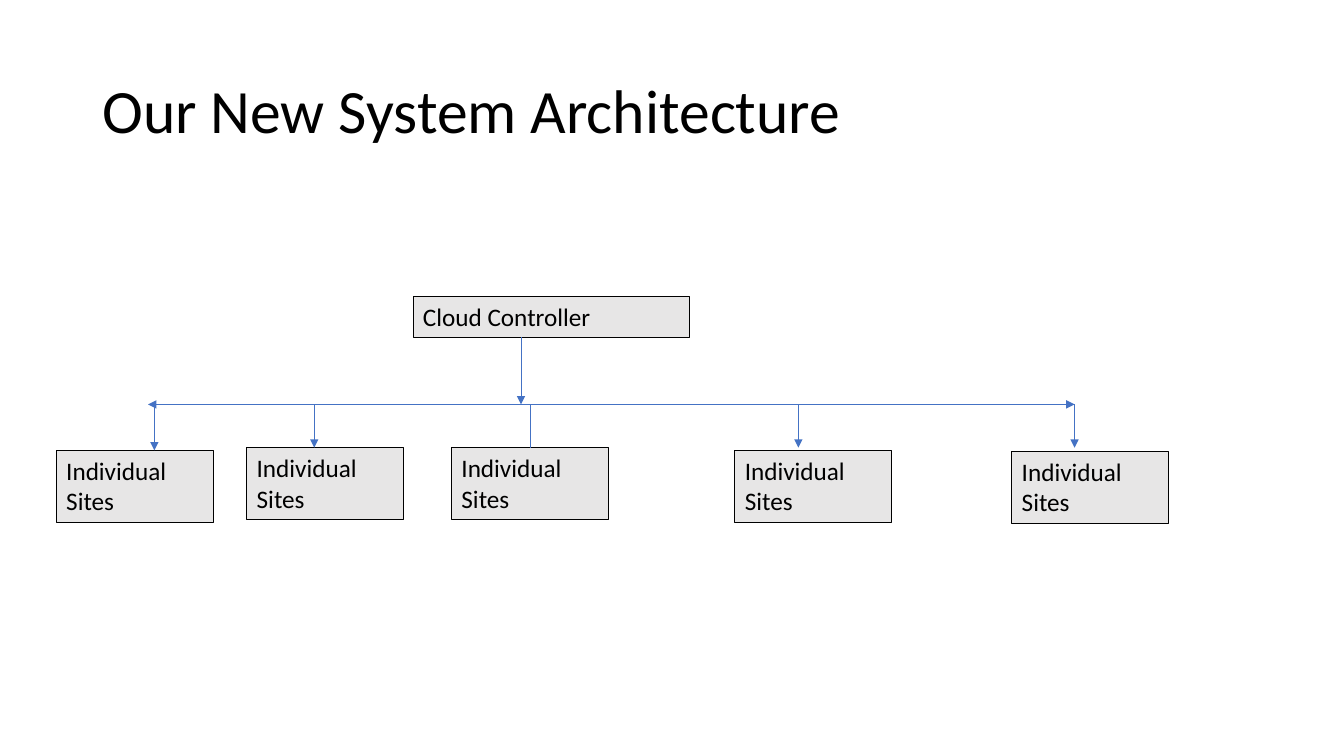
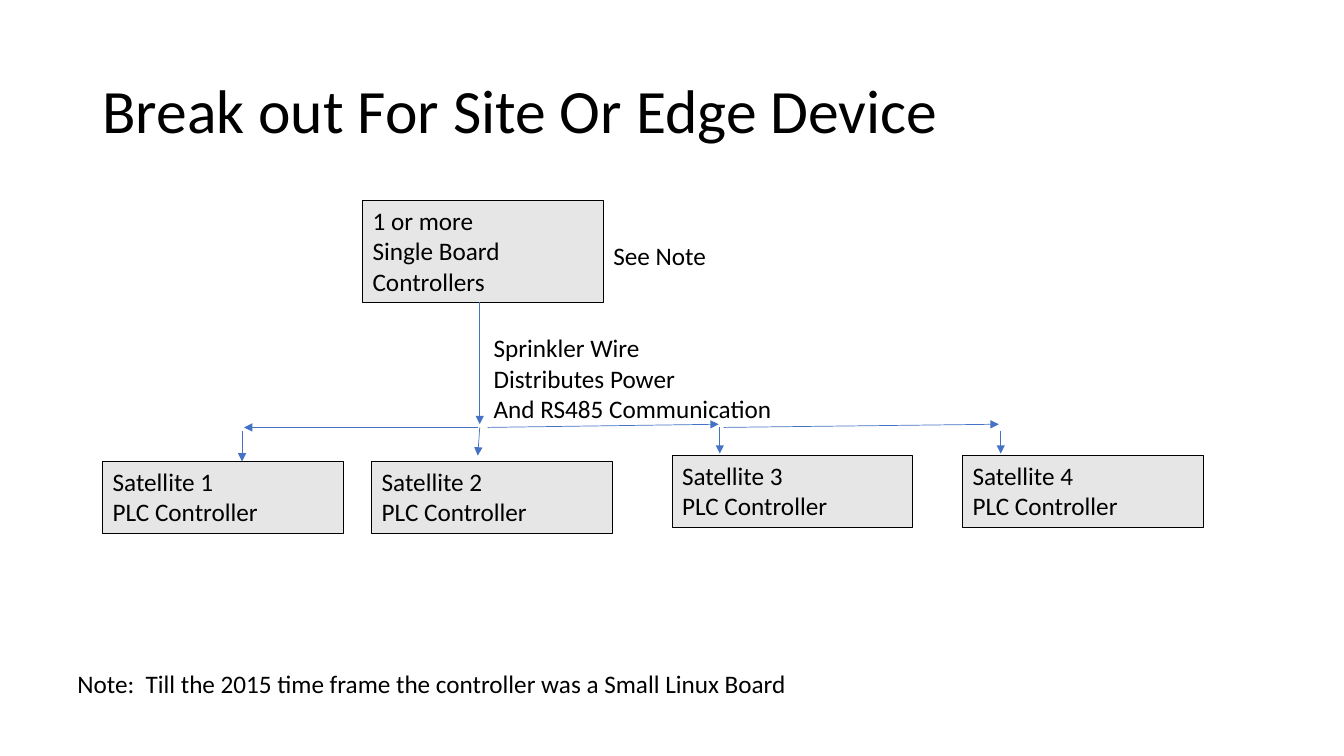
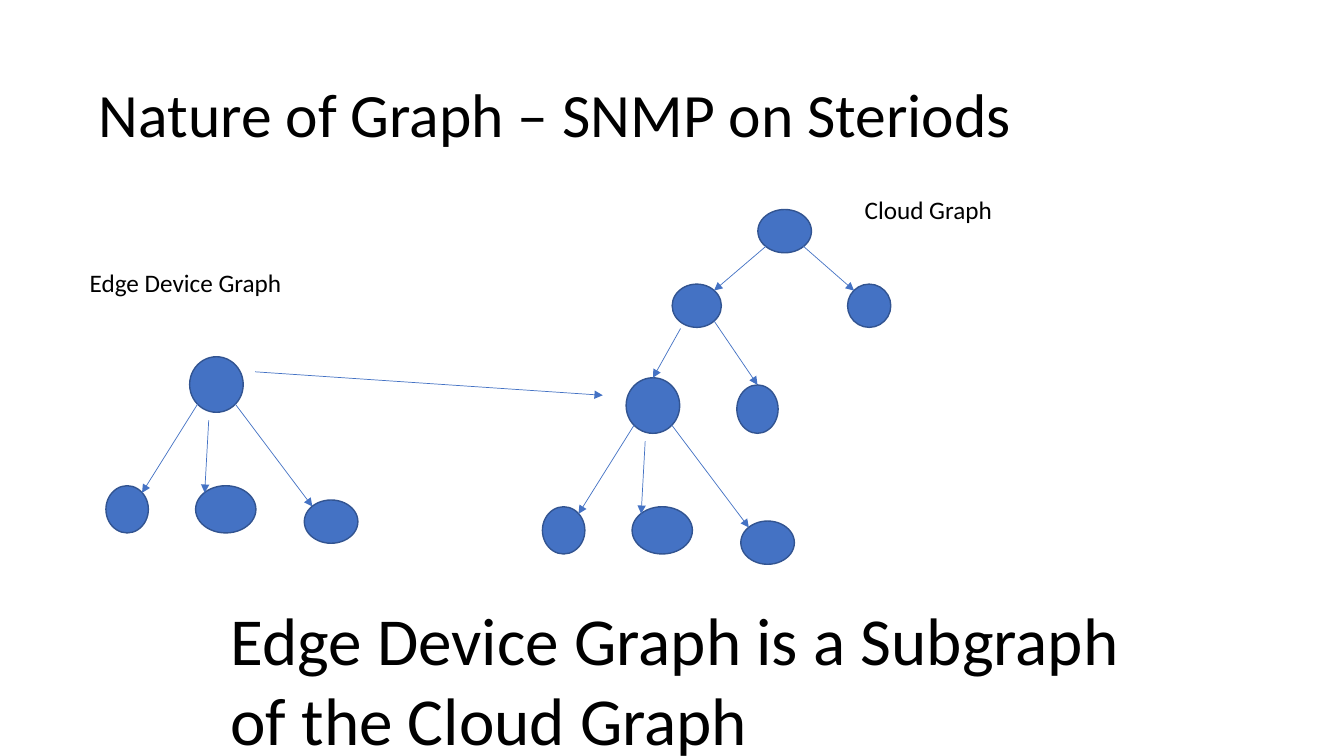
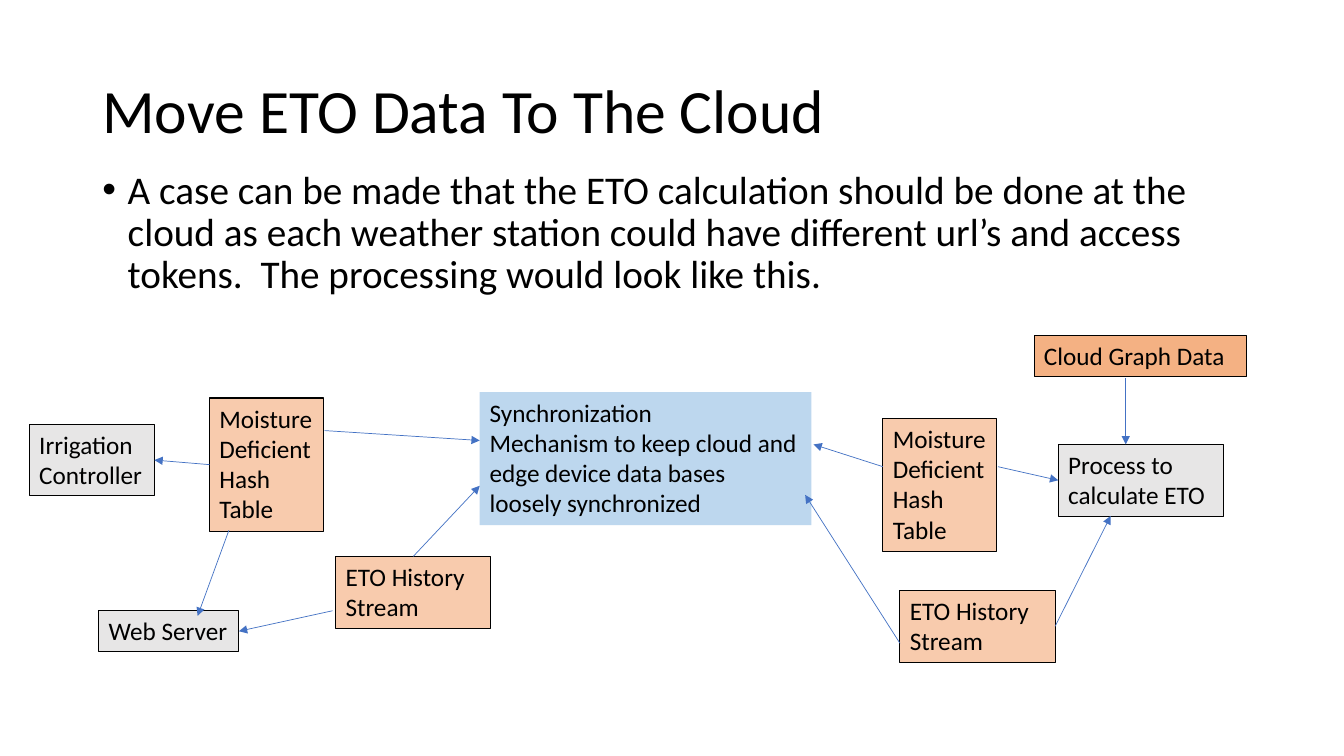
import dataclasses

import lxml.etree
import pptx
import pptx.dml.color
import pptx.enum.shapes
import pptx.enum.text
import pptx.oxml.ns
import pptx.util
from pptx.util import Cm

FONT = "Calibri"
BLACK, GREY, BLUE, NAVY = "000000", "E7E6E6", "4472C4", "325491"
ORANGE, PEACH, SKY = "F4B183", "F8CBAD", "BDD7EE"
MSO = pptx.enum.shapes.MSO_SHAPE

# Connection points as fractions of a shape's width and height
SITES = {
    "top": (0.5, 0), "left": (0, 0.5), "bottom": (0.5, 1), "right": (1, 0.5),
    "top left": (0.15, 0.15), "top right": (0.85, 0.15),
    "bottom left": (0.15, 0.85), "bottom right": (0.85, 0.85),
}
RECT_SITES = ["top", "left", "bottom", "right"]


@dataclasses.dataclass
class Box:
    """A text rectangle; lengths in cm, height follows from the rows."""
    key: str
    x: float
    y: float
    w: float
    rows: int
    text: str
    fill: str = GREY
    line: str = BLACK
    wrap: bool = True
    size: int = 18


def label(x, y, w, rows, text, size=18):
    return Box(text, x, y, w, rows, text, fill=None, line=None, size=size)


# ---- Slide 1: cloud controller and its sites
BUS_Y = 10.19
SITE_SPOTS = [(1.42, 11.35), (6.22, 11.28), (11.38, 11.28), (18.52, 11.35), (25.5, 11.38)]
DROPS = [(3.89, 11.35), (7.92, 11.28), (20.12, 11.28), (27.08, 11.28)]
ARCHITECTURE = {
    "title": "Our New System Architecture",
    "boxes": [Box("controller", 10.41, 7.47, 6.96, 1, "Cloud Controller")]
    + [Box(f"site {i}", x, y, 3.96, 2, "Individual\nSites")
       for i, (x, y) in enumerate(SITE_SPOTS, 1)],
    "arrows": [((13.13, 8.5), (13.13, BUS_Y))]
    + [((13.13, BUS_Y), (x, BUS_Y)) for x in (3.73, 27.08)]
    + [((x, BUS_Y), (x, y)) for x, y in DROPS],
    "lines": [((13.36, BUS_Y), ("site 3", "top"))],
}

# ---- Slide 2: one site
SATELLITE_SPOTS = [(2.59, 11.63), (9.37, 11.63), (16.94, 11.48), (24.26, 11.48)]
SITE = {
    "title": "Break out For Site Or Edge Device",
    "boxes": [Box("controllers", 9.14, 5.05, 6.07, 3, "1 or more\nSingle Board\nControllers")]
    + [Box(f"satellite {i}", x, y, 6.07, 2, f"Satellite {i}\nPLC Controller")
       for i, (x, y) in enumerate(SATELLITE_SPOTS, 1)]
    + [
        label(12.19, 8.26, 8, 3, "Sprinkler Wire\nDistributes Power\nAnd RS485 Communication"),
        label(15.21, 5.94, 4.24, 1, "See Note"),
        label(1.7, 16.71, 20, 1,
              "Note:  Till the 2015 time frame the controller was a Small Linux Board"),
    ],
    "arrows": [
        ((12.09, 7.62), (12.09, 10.69)),
        ((12.04, 10.77), (6.15, 10.77)),
        ((6.1, 10.85), (6.1, 11.63)),
        ((12.09, 10.77), (12.04, 11.48)),
        ((12.29, 10.77), (18.11, 10.69)),
        ((18.14, 10.77), (18.14, 11.43)),
        ((18.24, 10.77), (25.17, 10.69)),
        ((25.22, 10.85), (25.22, 11.43)),
    ],
}

# ---- Slide 3: the edge graph appears again, shifted, inside the cloud graph
SUBGRAPH = [
    ("root", 4.78, 8.99, 1.35, 1.4),
    ("leaf 1", 2.67, 12.24, 1.07, 1.19),
    ("leaf 2", 4.93, 12.24, 1.52, 1.19),
    ("leaf 3", 7.67, 12.6, 1.35, 1.09),
]
SUBGRAPH_SHIFTS = {"edge": (0, 0), "cloud": (11, 0.53)}


def subgraph_nodes(name, dx, dy):
    return [(f"{name} {key}", x + dx, y + dy, w, h) for key, x, y, w, h in SUBGRAPH]


def subgraph_arrows(name, dx, dy):
    return [
        ((f"{name} root", "bottom left"), (f"{name} leaf 1", "top right")),
        ((5.26 + dx, 10.59 + dy), (f"{name} leaf 2", "top left")),
        ((f"{name} root", "bottom right"), (f"{name} leaf 3", "top left")),
    ]


GRAPH = {
    "title": "Nature of Graph – SNMP on Steriods",
    "title_at": (2.24, 1.12),
    "nodes": [
        ("top", 19.1, 5.28, 1.35, 1.09),
        ("left", 16.94, 7.16, 1.24, 1.09),
        ("right", 21.36, 7.16, 1.09, 1.09),
        ("inner leaf", 18.57, 9.7, 1.04, 1.22),
    ] + [n for name, d in SUBGRAPH_SHIFTS.items() for n in subgraph_nodes(name, *d)],
    "arrows": [
        (("top", "bottom left"), ("left", "top right")),
        (("top", "bottom right"), ("right", "top left")),
        (("left", "bottom right"), ("inner leaf", "top")),
        ((17.15, 8.28), ("cloud root", "top")),
        ((6.43, 9.37), (15.19, 9.96)),
    ] + [a for name, d in SUBGRAPH_SHIFTS.items() for a in subgraph_arrows(name, *d)],
    "boxes": [
        label(2.01, 6.6, 6, 1, "Edge Device Graph"),
        label(21.54, 4.78, 4, 1, "Cloud Graph"),
        label(5.56, 14.94, 24.31, 2, "Edge Device Graph is a Subgraph of the Cloud Graph", 48),
    ],
}

# ---- Slide 4: data flow between edge and cloud
MOISTURE = "Moisture\nDeficient\nHash\nTable"
STREAM = "ETO History Stream"
DATA_FLOW = {
    "title": "Move ETO Data To The Cloud",
    "bullet": "A case can be made that the ETO calculation should be done at the cloud as "
              "each weather station could have different url’s and access tokens.  "
              "The processing would look like this.",
    "boxes": [
        Box("process", 26.67, 11.2, 4.17, 2, "Process to calculate ETO"),
        Box("graph data", 26.06, 8.46, 5.36, 1, "Cloud Graph Data", ORANGE),
        Box("edge stream", 8.46, 14.02, 3.91, 2, STREAM, PEACH),
        Box("web server", 2.49, 15.39, 3.53, 1, "Web Server", wrap=False),
        Box("edge moisture", 5.28, 10.03, 2.87, 4, MOISTURE, PEACH, wrap=False),
        Box("cloud moisture", 22.25, 10.54, 2.87, 4, MOISTURE, PEACH, wrap=False),
        Box("cloud stream", 22.68, 14.88, 3.91, 2, STREAM, PEACH),
        Box("irrigation", 0.74, 10.69, 3.15, 2, "Irrigation Controller"),
        Box("sync", 12.09, 9.88, 8.36, 4,
            "Synchronization\nMechanism to keep cloud and edge device data bases "
            "loosely synchronized", SKY, line=None),
    ],
    "arrows": [
        (("edge moisture", "left"), ("irrigation", "right")),
        ((5.77, 13.36), (4.98, 15.52)),
        ((8.38, 15.39), ("web server", "right")),
        ((28.37, 9.53), (28.37, 11.2)),
        ((25.15, 11.76), ("process", "left")),
        (("cloud stream", "right"), (27.99, 13)),
        ((22.25, 11.76), (20.5, 11.2)),
        ((22.68, 16.21), (20.29, 12.47)),
        (("edge stream", "top"), (12.09, 12.24)),
        ((8.18, 10.85), (12.09, 11.1)),
    ],
}


# ---- Drawing helpers
def color(value):
    return pptx.dml.color.RGBColor.from_string(value)


def sub(parent, tag, **attrs):
    return lxml.etree.SubElement(parent, pptx.oxml.ns.qn(tag), attrs)


def write(sp, text, size, spacing=None, wrap=True):
    tf = sp.text_frame
    tf.word_wrap = wrap
    tf.vertical_anchor = pptx.enum.text.MSO_ANCHOR.TOP
    tf.text = text
    for p in tf.paragraphs:
        p.alignment = pptx.enum.text.PP_ALIGN.LEFT
        p.line_spacing = spacing
        for r in p.runs:
            r.font.name = FONT
            r.font.size = pptx.util.Pt(size)
            r.font.color.rgb = color(BLACK)
    return tf


def add_filled(slide, kind, x, y, w, h, fill, line, width):
    sp = slide.shapes.add_shape(kind, Cm(x), Cm(y), Cm(w), Cm(h))
    sp.shadow.inherit = False
    sp.fill.solid()
    sp.fill.fore_color.rgb = color(fill)
    if line:
        sp.line.color.rgb = color(line)
        sp.line.width = pptx.util.Pt(width)
    else:
        sp.line.fill.background()
    return sp


def add_box(slide, box):
    h = 0.26 + box.rows * box.size * 0.043
    if box.fill:
        sp = add_filled(slide, MSO.RECTANGLE, box.x, box.y, box.w, h, box.fill, box.line, 0.75)
    else:
        sp = slide.shapes.add_textbox(Cm(box.x), Cm(box.y), Cm(box.w), Cm(h))
    write(sp, box.text, box.size, wrap=box.wrap)
    return sp


def end_point(end, shapes):
    if end[0] not in shapes:
        return Cm(end[0]), Cm(end[1])
    sp, (fx, fy) = shapes[end[0]], SITES[end[1]]
    return int(sp.left + fx * sp.width), int(sp.top + fy * sp.height)


def add_line(slide, start, end, shapes, arrow):
    c = slide.shapes.add_connector(
        pptx.enum.shapes.MSO_CONNECTOR.STRAIGHT,
        *end_point(start, shapes), *end_point(end, shapes))
    for (key, site), join in ((start, c.begin_connect), (end, c.end_connect)):
        if key in shapes and shapes[key].auto_shape_type == MSO.RECTANGLE:
            join(shapes[key], RECT_SITES.index(site))
    c.line.color.rgb = color(BLUE)
    c.line.width = pptx.util.Pt(0.5)
    if arrow:
        sub(c.line._get_or_add_ln(), "a:tailEnd", type="triangle")
    sub(c._element.spPr, "a:effectLst")


def add_title(slide, text, x, y):
    sp = slide.shapes.add_textbox(Cm(x), Cm(y), Cm(29.21), Cm(3.68))
    tf = write(sp, text, 44, spacing=0.9)
    tf.vertical_anchor = pptx.enum.text.MSO_ANCHOR.MIDDLE


def add_bullet(slide, text):
    sp = slide.shapes.add_textbox(Cm(2.33), Cm(4.17), Cm(29.21), Cm(3.68))
    tf = write(sp, text, 28, spacing=0.9)
    pPr = tf.paragraphs[0]._p.get_or_add_pPr()
    pPr.set("marL", str(Cm(0.64)))
    pPr.set("indent", str(-Cm(0.64)))
    sub(pPr, "a:buFont", typeface="Arial")
    sub(pPr, "a:buChar", char="•")


def build_slide(prs, content):
    slide = prs.slides.add_slide(prs.slide_layouts[6])
    add_title(slide, content["title"], *content.get("title_at", (2.33, 1.02)))
    if "bullet" in content:
        add_bullet(slide, content["bullet"])
    shapes = {}
    for key, *frame in content.get("nodes", []):
        shapes[key] = add_filled(slide, MSO.OVAL, *frame, BLUE, NAVY, 1)
    for box in content["boxes"]:
        shapes[box.key] = add_box(slide, box)
    for kind in ("arrows", "lines"):
        for start, end in content.get(kind, []):
            add_line(slide, start, end, shapes, arrow=kind == "arrows")


def main():
    prs = pptx.Presentation()
    prs.slide_width, prs.slide_height = Cm(33.87), Cm(19.05)
    for content in (ARCHITECTURE, SITE, GRAPH, DATA_FLOW):
        build_slide(prs, content)
    prs.save("out.pptx")


if __name__ == "__main__":
    main()
